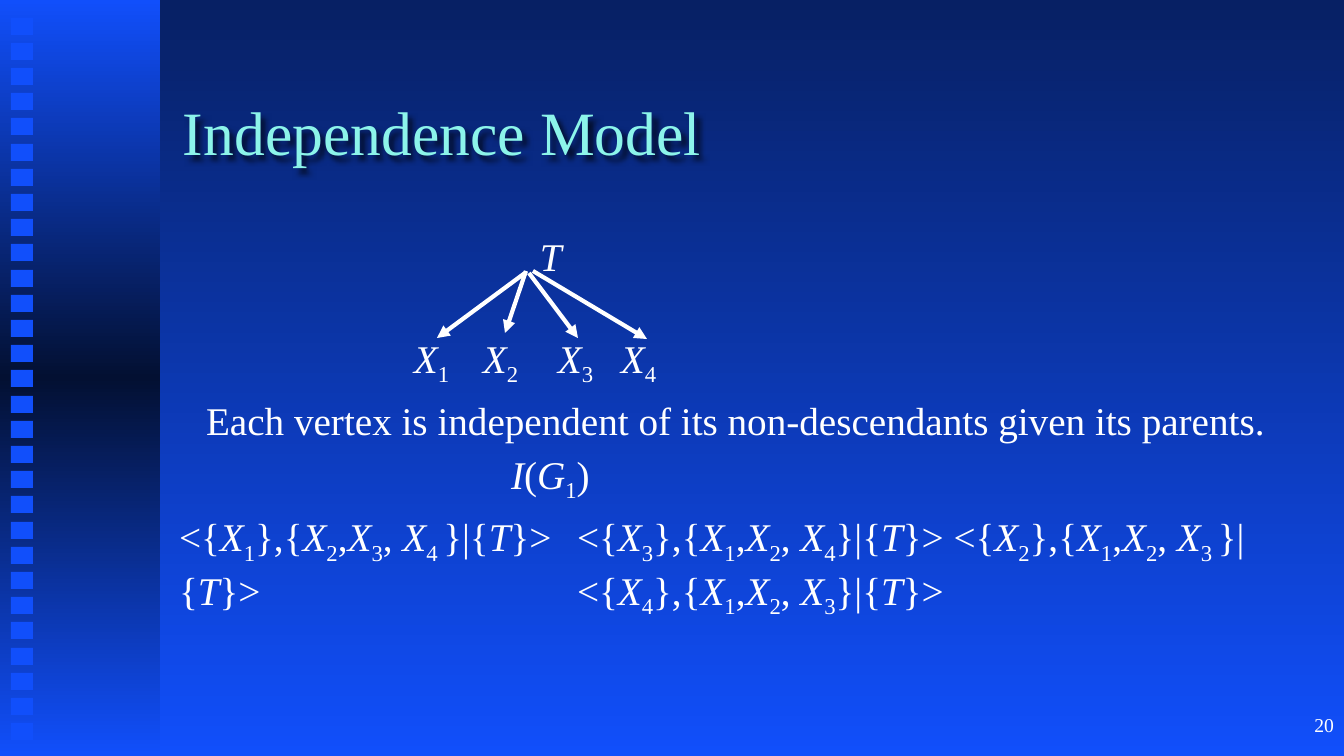
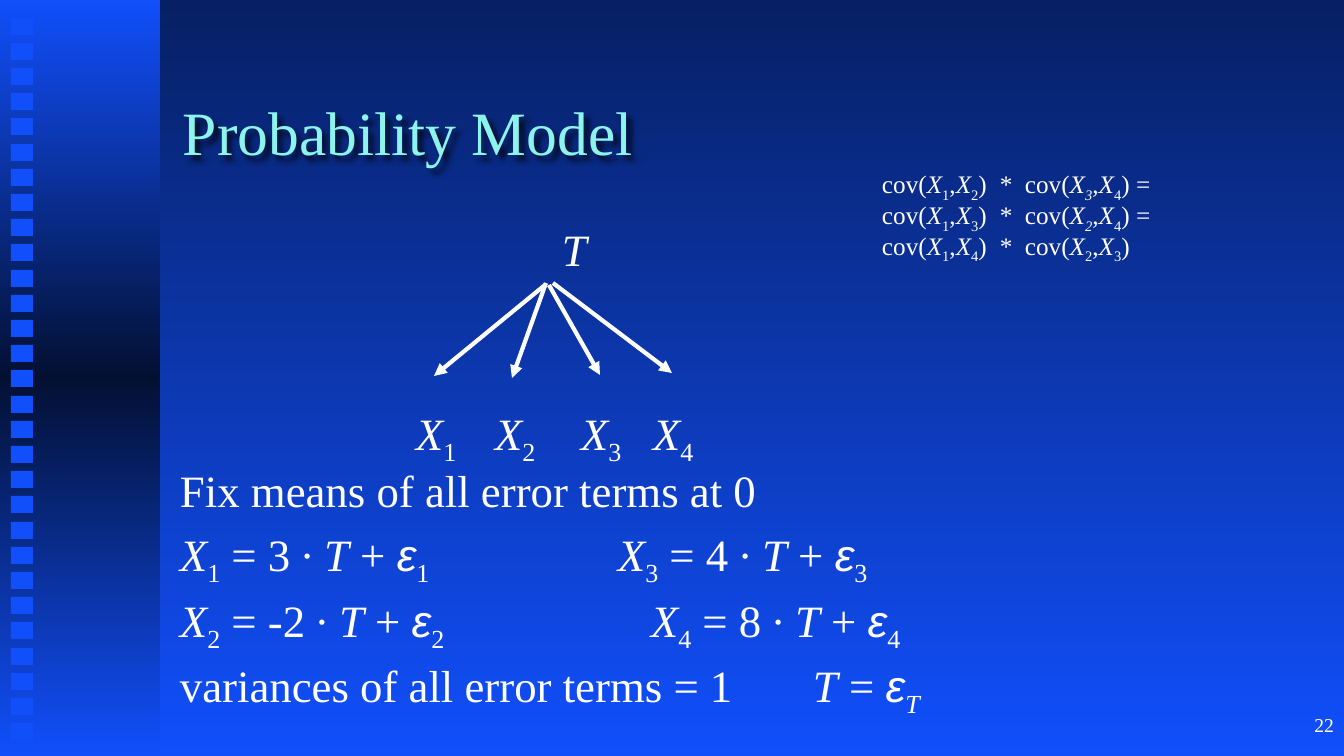
from itertools import groupby

from lxml.etree import SubElement
from pptx import Presentation
from pptx.dml.color import RGBColor
from pptx.enum.shapes import MSO_CONNECTOR, MSO_SHAPE
from pptx.enum.text import MSO_ANCHOR, PP_ALIGN
from pptx.oxml.ns import qn
from pptx.util import Emu, Pt

SCALE = 914400 / 100.8
ITALIC = "XTGIε"
SUBSCRIPT = "_"
ITALIC_SUBSCRIPT = "~"


def px(n):
    return Emu(round(n * SCALE))


def rgb(hex_color):
    return RGBColor.from_string(hex_color)


def styled_chars(text):
    marker = ""
    for ch in text:
        if ch in (SUBSCRIPT, ITALIC_SUBSCRIPT):
            marker = ch
            continue
        italic = ch in ITALIC or marker == ITALIC_SUBSCRIPT
        font = "Arial" if ch == "ε" else Deck.FONT
        yield ch, (italic, marker != "", font)
        marker = ""


class Deck:
    FONT = "Times New Roman"
    WHITE = "FFFFFF"
    TITLE = "8CF4EA"
    BLUE = "114FFB"
    NAVY = "072064"
    BLACK = "031032"
    FAN_STARTS = ((0, 2), (1, 0), (4, 2), (8, 0))

    def __init__(self):
        self.prs = Presentation()
        self.prs.slide_width = px(1344)
        self.prs.slide_height = px(756)
        self.slide = None

    def new_slide(self, title, number):
        self.slide = self.prs.slides.add_slide(self.prs.slide_layouts[6])
        fill = self.slide.background.fill
        self.gradient(fill, self.slide.element, (self.NAVY, self.BLUE))
        band = self.rect(0, 0, 160, 755)
        self.gradient(band.fill, band.element, (self.BLUE, self.BLACK, self.BLUE))
        for i in range(29):
            self.rect(11, 18 + i * 126 // 5, 22, 17)
        self.title(title)
        self.text(1064, 713, 270, 24, [(str(number), ())], 14, align=PP_ALIGN.RIGHT)

    def gradient(self, fill, root, colors):
        fill.gradient()
        fill.gradient_angle = 270
        stops = next(root.iter(qn("a:gsLst")))
        stops.clear()
        for i, color in enumerate(colors):
            position = str(100000 * i // (len(colors) - 1))
            gs = SubElement(stops, qn("a:gs"), pos=position)
            SubElement(gs, qn("a:srgbClr"), val=color)

    def rect(self, x, y, w, h):
        sp = self.slide.shapes.add_shape(MSO_SHAPE.RECTANGLE, px(x), px(y), px(w), px(h))
        sp.shadow.inherit = False
        sp.fill.solid()
        sp.fill.fore_color.rgb = rgb(self.BLUE)
        sp.line.fill.background()
        return sp

    def title(self, text):
        sp = self.text(183, 68, 1114, 126, [(text, ())], 44, self.TITLE, rich=False)
        sp.text_frame.vertical_anchor = MSO_ANCHOR.MIDDLE
        effects = SubElement(sp.element.spPr, qn("a:effectLst"))
        shadow = SubElement(effects, qn("a:outerShdw"), blurRad="50800",
                            dist="50800", dir="2700000", algn="tl", rotWithShape="0")
        color = SubElement(shadow, qn("a:srgbClr"), val="000000")
        SubElement(color, qn("a:alpha"), val="70000")

    def text(self, x, y, w, h, lines, size, color=WHITE, align=PP_ALIGN.LEFT,
             spacing=1.0, gap=0, rich=True):
        sp = self.slide.shapes.add_textbox(px(x), px(y), px(w), px(h))
        tf = sp.text_frame
        tf.word_wrap = True
        tf.margin_left = tf.margin_right = tf.margin_top = tf.margin_bottom = 0
        for i, (line, tabs) in enumerate(lines):
            p = tf.add_paragraph() if i else tf.paragraphs[0]
            if tabs:
                tab_list = SubElement(p._p.get_or_add_pPr(), qn("a:tabLst"))
                for tab in tabs:
                    SubElement(tab_list, qn("a:tab"), pos=str(px(tab)), algn="l")
            p.alignment = align
            p.line_spacing = spacing
            p.space_before = Pt(gap if i else 0)
            chars = styled_chars(line) if rich else [(line, (False, False, self.FONT))]
            for (italic, sub, font), group in groupby(chars, lambda c: c[1]):
                r = p.add_run()
                r.text = "".join(ch for ch, _ in group)
                r.font.size = Pt(size)
                r.font.name = font
                r.font.italic = italic
                r.font.color.rgb = rgb(color)
                if sub:
                    r.font._element.set("baseline", "-25000")
        return sp

    def arrow(self, x1, y1, x2, y2):
        cx = self.slide.shapes.add_connector(
            MSO_CONNECTOR.STRAIGHT, px(x1), px(y1), px(x2), px(y2))
        cx.line.color.rgb = rgb(self.WHITE)
        cx.line.width = Pt(3)
        SubElement(cx.line._get_or_add_ln(), qn("a:tailEnd"), type="triangle")
        SubElement(cx.element.spPr, qn("a:effectLst"))

    def tree(self, root, apex, tips, label_xs, label_y, size):
        self.text(*root, 60, 52, [("T", ())], size)
        for i, x in enumerate(label_xs, 1):
            self.text(x, label_y, 60, 60, [(f"X_{i}", ())], size)
        for (dx, dy), tip in zip(self.FAN_STARTS, tips):
            self.arrow(apex[0] + dx, apex[1] + dy, *tip)


def independence_slide(deck):
    deck.new_slide("Independence Model", 20)
    deck.tree((540, 232), (525, 271),
              ((437, 338), (505, 333), (578, 338), (647, 339)),
              (414, 483, 558, 621), 334, 28)
    deck.text(179, 396, 1113, 46,
              [("Each vertex is independent of its non-descendants given its parents.", ())],
              28, align=PP_ALIGN.CENTER)
    deck.text(179, 450, 1124, 180, [
        ("\tI(G_1)", (332,)),
        ("<{X_1},{X_2,X_3, X_4_ }|{T}>\t<{X_3},{X_1,X_2, X_4}|{T}> "
         "<{X_2},{X_1,X_2, X_3_ }|{T}>\t<{X_4},{X_1,X_2, X_3}|{T}>", (51, 398)),
    ], 28, gap=6.4)


def probability_slide(deck):
    deck.new_slide("Probability Model", 22)
    deck.tree((562, 222), (545, 283),
              ((434, 376), (512, 378), (600, 375), (672, 373)),
              (416, 495, 581, 653), 406, 32)
    deck.text(180, 469, 1125, 250, [
        ("Fix means of all error terms at 0", ()),
        ("X_1 = 3 ∙ T + ε_1\tX_3 = 4 ∙ T + ε_3", (438,)),
        ("X_2 = -2 ∙ T + ε_2\tX_4 = 8 ∙ T + ε_4", (471,)),
        ("variances of all error terms = 1\tT = ε_T", (633,)),
    ], 32, spacing=0.9, gap=7.4)
    cov_tabs = (118, 143)
    deck.text(882, 169, 386, 94, [
        ("cov(X_1,X_2)\t*\tcov(X~3,X_4) =", cov_tabs),
        ("cov(X_1,X_3)\t*\tcov(X~2,X_4) =", cov_tabs),
        ("cov(X_1,X_4)\t*\tcov(X_2,X_3)", cov_tabs),
    ], 18, spacing=0.9)


def main():
    deck = Deck()
    independence_slide(deck)
    probability_slide(deck)
    deck.prs.save("out.pptx")


if __name__ == "__main__":
    main()
